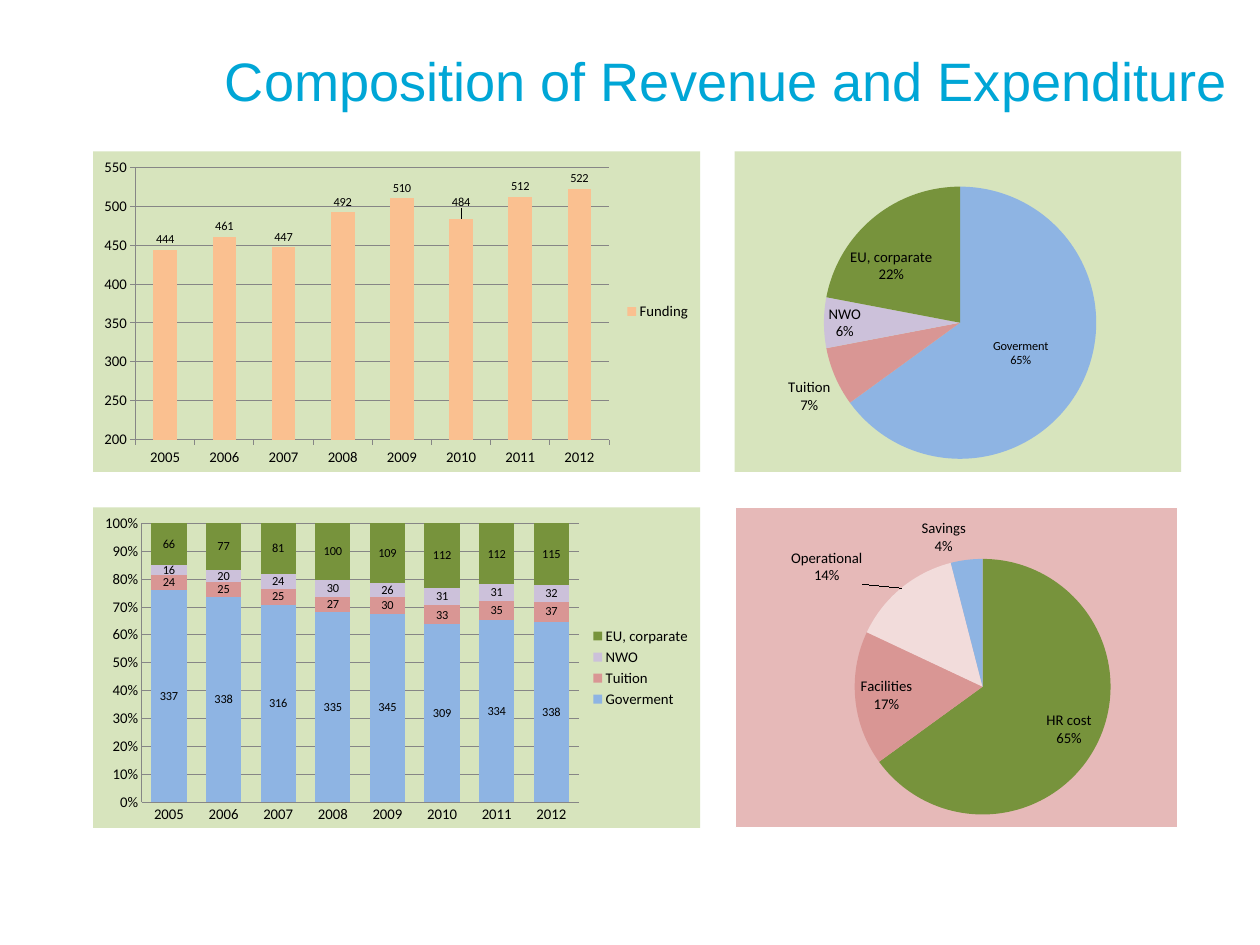
from lxml.etree import SubElement
from pptx import Presentation
from pptx.chart.data import CategoryChartData
from pptx.dml.color import RGBColor
from pptx.enum.chart import XL_CHART_TYPE, XL_LABEL_POSITION, XL_LEGEND_POSITION, XL_TICK_MARK
from pptx.oxml import parse_xml
from pptx.oxml.ns import nsdecls, qn
from pptx.util import Cm, Pt

COLORS = {
    "title": "00A6D6", "text": "000000", "axis": "868686", "border": "FFFFFF",
    "revenue": "D7E4BD", "expenditure": "E6B9B8",
    "blue": "8EB4E3", "rose": "D99694", "lilac": "CCC1DA",
    "green": "77933C", "orange": "FAC090", "pale": "F2DCDB",
}
LEFT, RIGHT = 2.67, 21.06
TOP, BOTTOM = 4.34, 14.55
BAR_WIDTH, CHART_HEIGHT = 17.4, 9.19
YEARS = [str(year) for year in range(2005, 2013)]
SOURCES = {
    "Goverment": ("blue", [337, 338, 316, 335, 345, 309, 334, 338]),
    "Tuition": ("rose", [24, 25, 25, 27, 30, 33, 35, 37]),
    "NWO": ("lilac", [16, 20, 24, 30, 26, 31, 31, 32]),
    "EU, corparate": ("green", [66, 77, 81, 100, 109, 112, 112, 115]),
}
FUNDING = {"Funding": ("orange", [444, 461, 447, 492, 510, 484, 512, 522])}
REVENUE = {"Goverment": ("blue", 65), "Tuition": ("rose", 7),
           "NWO": ("lilac", 6), "EU, corparate": ("green", 22)}
EXPENDITURE = {"HR cost": ("green", 65), "Facilities": ("rose", 17),
               "Operational": ("pale", 14), "Savings": ("blue", 4)}


def color(name):
    return RGBColor.from_string(COLORS[name])


def apply_format(target, values):
    for name, value in values.items():
        setattr(target, name, value)


def paint(part, name):
    part.format.fill.solid()
    part.format.fill.fore_color.rgb = color(name)


def style_font(font, size, name="Calibri", tone="text"):
    apply_format(font, {"size": Pt(size), "name": name, "bold": False})
    font.color.rgb = color(tone)


def add_layout(parent, position, values):
    """Place a plot area or a label by fractions of the chart's size."""
    layout = parent.find(qn("c:layout"))
    if layout is not None:
        parent.remove(layout)
    layout = parse_xml(f"<c:layout {nsdecls('c')}/>")
    parent.insert(position, layout)
    manual = SubElement(layout, qn("c:manualLayout"))
    for tag, value in values.items():
        SubElement(manual, qn(f"c:{tag}")).set("val", str(value))


def add_chart(page, kind, place, categories, series, background, plot_area, border=None):
    data = CategoryChartData(number_format="0")
    data.categories = categories
    for name, values in series.items():
        data.add_series(name, values)
    chart = page.shapes.add_chart(kind, *[Cm(length) for length in place], data).chart
    apply_format(chart, {"has_title": False, "has_legend": False})
    style_font(chart.font, 10)
    if border:
        line = f'<a:ln w="9525"><a:solidFill><a:srgbClr val="{COLORS[border]}"/></a:solidFill></a:ln>'
    else:
        line = "<a:ln><a:noFill/></a:ln>"
    chart.element.find(qn("c:chart")).addnext(parse_xml(
        f"<c:spPr {nsdecls('c', 'a')}><a:solidFill>"
        f'<a:srgbClr val="{COLORS[background]}"/></a:solidFill>{line}</c:spPr>'))
    fractions = dict(zip("xywh", plot_area))
    modes = {"layoutTarget": "inner", "xMode": "edge", "yMode": "edge"}
    add_layout(chart.element.find(".//" + qn("c:plotArea")), 0, modes | fractions)
    return chart


def add_bars(page, kind, top, series, plot_area, plot_format, scale, tick, axis_number, label_place):
    values = {name: numbers for name, (_, numbers) in series.items()}
    chart = add_chart(page, kind, (LEFT, top, BAR_WIDTH, CHART_HEIGHT),
                      YEARS, values, "revenue", plot_area)
    apply_format(chart.plots[0], {"vary_by_categories": False} | plot_format)
    for bars, (tone, _) in zip(chart.plots[0].series, series.values()):
        paint(bars, tone)
        bars.invert_if_negative = False
        apply_format(bars.data_labels, {
            "show_value": True, "number_format": "0",
            "number_format_is_linked": False, "position": label_place})
        style_font(bars.data_labels.font, 10)
    for axis in (chart.category_axis, chart.value_axis):
        apply_format(axis, {"major_tick_mark": tick, "minor_tick_mark": XL_TICK_MARK.NONE})
        style_font(axis.tick_labels.font, 12)
        axis.format.line.color.rgb = color("axis")
    apply_format(chart.value_axis, {"has_major_gridlines": True} | scale)
    chart.value_axis.major_gridlines.format.line.color.rgb = color("axis")
    apply_format(chart.value_axis.tick_labels, {
        "number_format": axis_number, "number_format_is_linked": False})
    chart.has_legend = True
    apply_format(chart.legend, {"position": XL_LEGEND_POSITION.RIGHT, "include_in_layout": False})
    style_font(chart.legend.font, 12)
    return chart


def show_share(labels):
    """Make labels show the category with its percentage below."""
    shown = {"showVal": "0", "showCatName": "1", "showPercent": "1"}
    for tag, value in shown.items():
        labels.find(qn(f"c:{tag}")).set("val", value)
    separator = parse_xml(f"<c:separator {nsdecls('c')}>\n</c:separator>")
    labels.find(qn("c:showBubbleSize")).addnext(separator)


def point_label(series, index, size, place, shift=None):
    """Give one point its own label and return the label's element."""
    label = series.points[index].data_label
    style_font(label.font, size)
    label.position = place
    element = next(item for item in series.data_labels._element.findall(qn("c:dLbl"))
                   if item.find(qn("c:idx")).get("val") == str(index))
    if shift:
        add_layout(element, 1, dict(zip("xy", shift)))
    return element


def add_pie(page, top, width, shares, background, plot_area, special, border=None):
    values = [share for _, share in shares.values()]
    chart = add_chart(page, XL_CHART_TYPE.PIE, (RIGHT, top, width, CHART_HEIGHT),
                      list(shares), {"Series 1": values}, background, plot_area, border)
    series = chart.plots[0].series[0]
    for index, (tone, _) in enumerate(shares.values()):
        paint(series.points[index], tone)
    labels = series.data_labels
    apply_format(labels, {"number_format": "0%", "number_format_is_linked": False,
                          "position": XL_LABEL_POSITION.BEST_FIT})
    style_font(labels.font, 12)
    show_share(labels._element)
    show_share(point_label(series, *special))


def add_title(page, text):
    box = page.shapes.add_textbox(Cm(6.45), Cm(1.35), Cm(29.6), Cm(2.39))
    margins = ("margin_left", "margin_top", "margin_right", "margin_bottom")
    apply_format(box.text_frame, dict.fromkeys(margins, 0) | {"word_wrap": True})
    span = box.text_frame.paragraphs[0].add_run()
    span.text = text
    style_font(span.font, 44, "Arial", "title")


def main():
    deck = Presentation()
    apply_format(deck, {"slide_width": Cm(36.12), "slide_height": Cm(27.1)})
    page = deck.slides.add_slide(deck.slide_layouts[6])
    add_bars(page, XL_CHART_TYPE.COLUMN_STACKED_100, BOTTOM, SOURCES,
             (0.08, 0.05, 0.72, 0.87), {"gap_width": 55, "overlap": 100},
             {"minimum_scale": 0, "maximum_scale": 1, "major_unit": 0.1},
             XL_TICK_MARK.NONE, "0%", XL_LABEL_POSITION.CENTER)
    funding = add_bars(page, XL_CHART_TYPE.COLUMN_CLUSTERED, TOP, FUNDING,
                       (0.07, 0.05, 0.78, 0.85), {"gap_width": 150},
                       {"minimum_scale": 200, "maximum_scale": 550, "major_unit": 50},
                       XL_TICK_MARK.OUTSIDE, "0", XL_LABEL_POSITION.OUTSIDE_END)
    point_label(funding.plots[0].series[0], YEARS.index("2010"), 10,
                XL_LABEL_POSITION.OUTSIDE_END, (0, -0.02))
    add_pie(page, TOP, 12.8, REVENUE, "revenue", (0.2, 0.11, 0.61, 0.85),
            (0, 10, XL_LABEL_POSITION.CENTER))
    add_pie(page, BOTTOM, 12.7, EXPENDITURE, "expenditure", (0.27, 0.16, 0.58, 0.8),
            (2, 12, XL_LABEL_POSITION.OUTSIDE_END, (-0.08, 0)), "border")
    add_title(page, "Composition of Revenue and Expenditure")
    deck.save("out.pptx")


if __name__ == "__main__":
    main()
